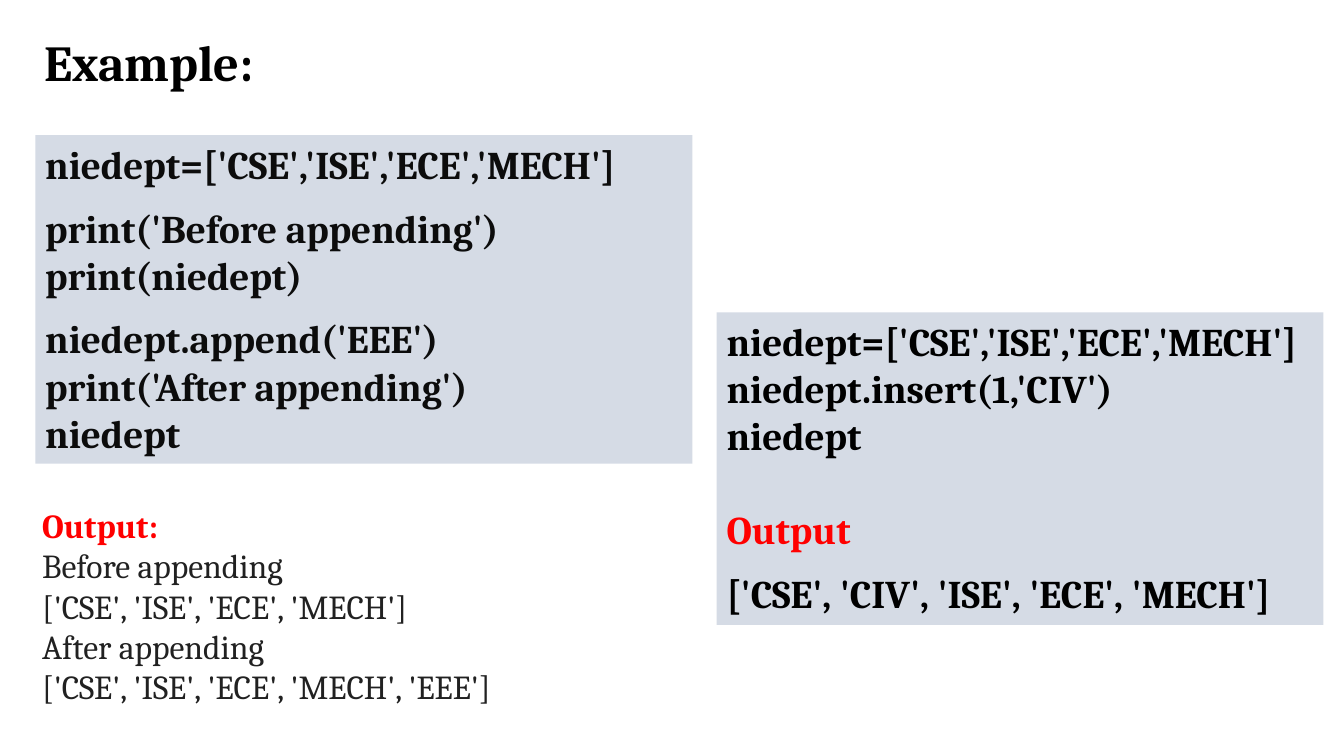
from pptx import Presentation
from pptx.dml.color import RGBColor
from pptx.enum.shapes import MSO_SHAPE
from pptx.enum.text import MSO_ANCHOR, PP_ALIGN
from pptx.util import Pt

BLACK, INK, GREY, RED = "000000", "0C0C0C", "212121", "FF0000"
PANEL, WHITE = "D5DBE5", "FFFFFF"


def color(code):
    return RGBColor.from_string(code)


def write(frame, lines, size):
    """Each line is (text, colour, bold, space before)."""
    frame.word_wrap = True
    frame.text = "\n".join(line[0] for line in lines)
    for para, (_, ink, bold, gap) in zip(frame.paragraphs, lines):
        para.alignment = PP_ALIGN.LEFT
        if gap:
            para.space_before = Pt(gap)
        for run in para.runs:
            font = run.font
            font.name, font.size, font.bold = "Cambria", Pt(size), bold
            font.color.rgb = color(ink)


def add_title(slide, box, text):
    shape = slide.shapes.add_textbox(*map(Pt, box))
    write(shape.text_frame, [(text, BLACK, True, 0)], 36)


def add_panel(slide, box, fill, lines, size, anchor=MSO_ANCHOR.TOP, inset=3.6):
    shape = slide.shapes.add_shape(MSO_SHAPE.RECTANGLE, *map(Pt, box))
    shape.shadow.inherit = False
    shape.fill.solid()
    shape.fill.fore_color.rgb = color(fill)
    shape.line.fill.background()
    frame = shape.text_frame
    frame.vertical_anchor = anchor
    frame.margin_top = frame.margin_bottom = Pt(inset)
    write(frame, lines, size)


def main():
    deck = Presentation()
    deck.slide_width, deck.slide_height = Pt(960), Pt(540)
    slide = deck.slides.add_slide(deck.slide_layouts[6])

    # Append example
    add_panel(slide, (25.2, 96.5, 469.4, 234.7), PANEL, [
        ("niedept=['CSE','ISE','ECE','MECH']", INK, True, 0),
        ("print('Before appending')", INK, True, 12),
        ("print(niedept)", INK, True, 0),
        ("niedept.append('EEE')", INK, True, 12),
        ("print('After appending')", INK, True, 0),
        ("niedept", INK, True, 0),
    ], 28)

    # Heading
    add_title(slide, (24.5, 18.7, 168.5, 51.1), "Example:")

    # Output of the append example
    add_panel(slide, (23, 360, 388.8, 145.4), WHITE, [
        ("Output:", RED, True, 0),
        ("Before appending", GREY, False, 0),
        ("['CSE', 'ISE', 'ECE', 'MECH']", GREY, False, 0),
        ("After appending", GREY, False, 0),
        ("['CSE', 'ISE', 'ECE', 'MECH', 'EEE']", GREY, False, 0),
    ], 24, MSO_ANCHOR.MIDDLE, 0)

    # Insert example with its output
    add_panel(slide, (511.9, 223.2, 433.4, 223.2), PANEL, [
        ("niedept=['CSE','ISE','ECE','MECH']", BLACK, True, 0),
        ("niedept.insert(1,'CIV')", BLACK, True, 0),
        ("niedept", BLACK, True, 0),
        ("Output", RED, True, 33.6),
        ("['CSE', 'CIV', 'ISE', 'ECE', 'MECH']", BLACK, True, 12),
    ], 28)

    deck.save("out.pptx")


if __name__ == "__main__":
    main()
